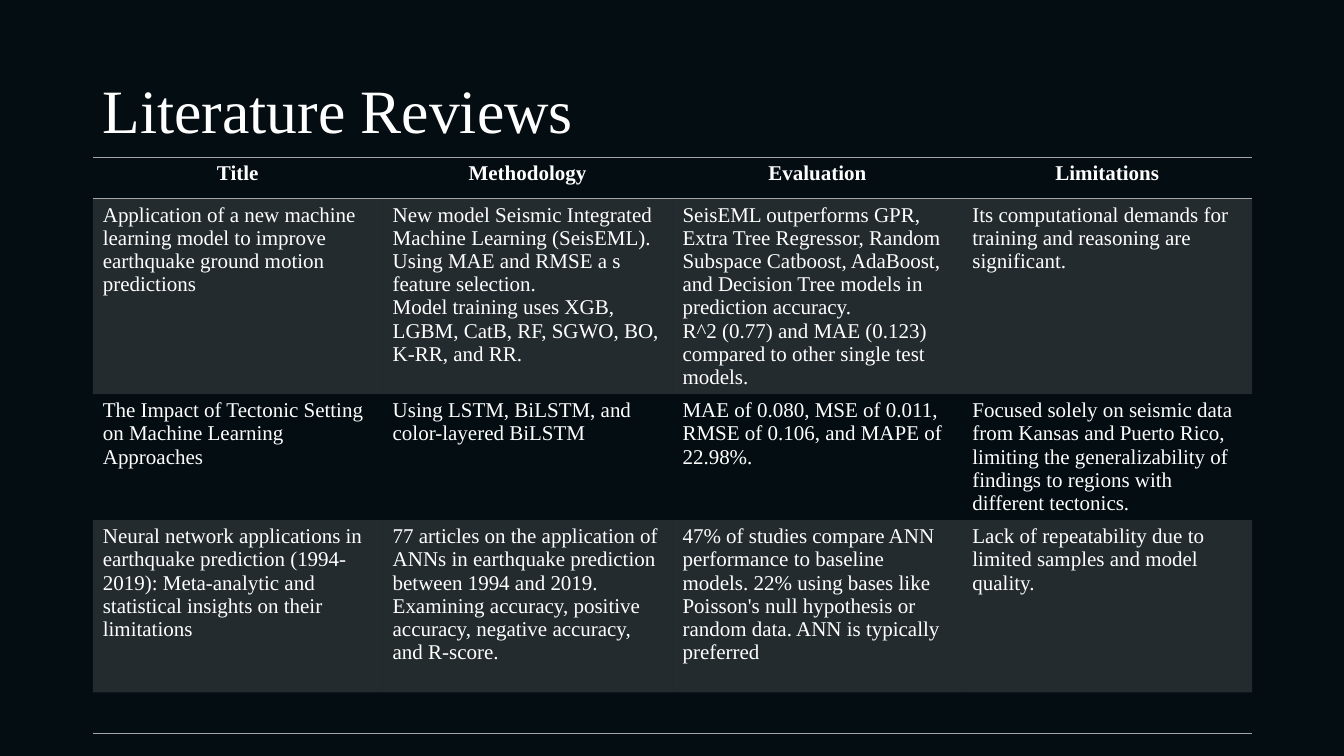
from lxml import etree
from pptx import Presentation
from pptx.dml.color import RGBColor
from pptx.enum.text import MSO_ANCHOR, PP_ALIGN
from pptx.oxml.ns import qn
from pptx.util import Inches, Pt

LEFT, CENTER = PP_ALIGN.LEFT, PP_ALIGN.CENTER
MIDDLE = MSO_ANCHOR.MIDDLE
DARK = RGBColor(0x04, 0x0D, 0x12)
WHITE = RGBColor(0xFF, 0xFF, 0xFF)
GRAY = RGBColor(0xA5, 0xA5, 0xA5)
FONT = "Times New Roman"
NO_STYLE = "{2D5ABB26-0587-4C30-8999-92F81FD0307C}"

HEADS = ["Title", "Methodology", "Evaluation", "Limitations"]
PAPERS = [
    [
        ["Application of a new machine learning model to improve earthquake "
         "ground motion predictions"],
        ["New model Seismic Integrated Machine Learning (SeisEML).",
         "Using MAE and RMSE a s feature selection.",
         "Model training uses XGB, LGBM, CatB, RF, SGWO, BO, K-RR, and RR."],
        ["SeisEML outperforms GPR, Extra Tree Regressor, Random Subspace "
         "Catboost, AdaBoost, and Decision Tree models in prediction accuracy.",
         "R^2 (0.77) and MAE (0.123) compared to other single test models."],
        ["Its computational demands for training and reasoning are significant."],
    ],
    [
        ["The Impact of Tectonic Setting on Machine Learning Approaches"],
        ["Using LSTM, BiLSTM, and color-layered BiLSTM"],
        ["MAE of 0.080, MSE of 0.011, RMSE of 0.106, and MAPE of 22.98%."],
        ["Focused solely on seismic data from Kansas and Puerto Rico, limiting "
         "the generalizability of findings to regions with different tectonics."],
    ],
    [
        ["Neural network applications in earthquake prediction (1994-2019): "
         "Meta‐analytic and statistical insights on their limitations"],
        ["77 articles on the application of ANNs in earthquake prediction "
         "between 1994 and 2019.",
         "Examining accuracy, positive accuracy, negative accuracy, and R-score."],
        ["47% of studies compare ANN performance to baseline models. 22% using "
         "bases like Poisson's null hypothesis or random data. ANN is typically "
         "preferred"],
        ["Lack of repeatability due to limited samples and model quality."],
    ],
]
HEIGHTS = [0.41, 1.94, 1.25, 1.71, 0.41]


def add_run(para, text, size, bold=False):
    run = para.add_run()
    run.text = text
    font = run.font
    font.name, font.size, font.bold = FONT, Pt(size), bold
    font.color.rgb = WHITE


def write_cell(cell, lines, head):
    frame = cell.text_frame
    for i, line in enumerate(lines):
        para = frame.add_paragraph() if i else frame.paragraphs[0]
        para.alignment = CENTER if head else LEFT
        add_run(para, line, 15, head)


def shade(cell):
    """Fill the cell with gray at 20% opacity."""
    cell.fill.solid()
    cell.fill.fore_color.rgb = GRAY
    color = cell._tc.tcPr.find(".//" + qn("a:srgbClr"))
    etree.SubElement(color, qn("a:alpha"), val="20000")


def rule(cell, sides):
    """Draw thin gray borders; they must precede the fill in the XML."""
    props = cell._tc.get_or_add_tcPr()
    for i, side in enumerate(sides):
        line = etree.Element(qn("a:" + side), w=str(Pt(1)))
        fill = etree.SubElement(line, qn("a:solidFill"))
        etree.SubElement(fill, qn("a:srgbClr"), val=str(GRAY))
        props.insert(i, line)


def add_title(slide, text, x, y, w, h):
    title = slide.shapes.title
    title.left, title.top = Inches(x), Inches(y)
    title.width, title.height = Inches(w), Inches(h)
    frame = title.text_frame
    frame.vertical_anchor = MIDDLE
    para = frame.paragraphs[0]
    para.alignment, para.line_spacing = LEFT, 0.9
    add_run(para, text, 44)


def add_reviews(slide, x, y, w):
    rows = [[[head] for head in HEADS], *PAPERS, [[] for _ in HEADS]]
    last = len(rows) - 1
    frame = slide.shapes.add_table(
        len(rows), len(HEADS), Inches(x), Inches(y), Inches(w), Inches(sum(HEIGHTS)))
    table = frame.table
    table.horz_banding = False
    table._tbl.tblPr.find(qn("a:tableStyleId")).text = NO_STYLE
    for col in table.columns:
        col.width = Inches(w / len(HEADS))
    for r, (row, height) in enumerate(zip(rows, HEIGHTS)):
        table.rows[r].height = Inches(height)
        for c, lines in enumerate(row):
            cell = table.cell(r, c)
            write_cell(cell, lines, r == 0)
            if r % 2:
                shade(cell)
            else:
                cell.fill.background()
            if r == 0:
                rule(cell, ["lnT", "lnB"])
            elif r == last:
                rule(cell, ["lnB"])


def main():
    deck = Presentation()
    deck.slide_width, deck.slide_height = Inches(13.33), Inches(7.5)
    slide = deck.slides.add_slide(deck.slide_layouts.get_by_name("Title Only"))
    slide.background.fill.solid()
    slide.background.fill.fore_color.rgb = DARK
    add_title(slide, "Literature Reviews", 0.92, 0.4, 11.5, 1.45)
    add_reviews(slide, 0.92, 1.56, 11.5)
    deck.save("out.pptx")


if __name__ == "__main__":
    main()
